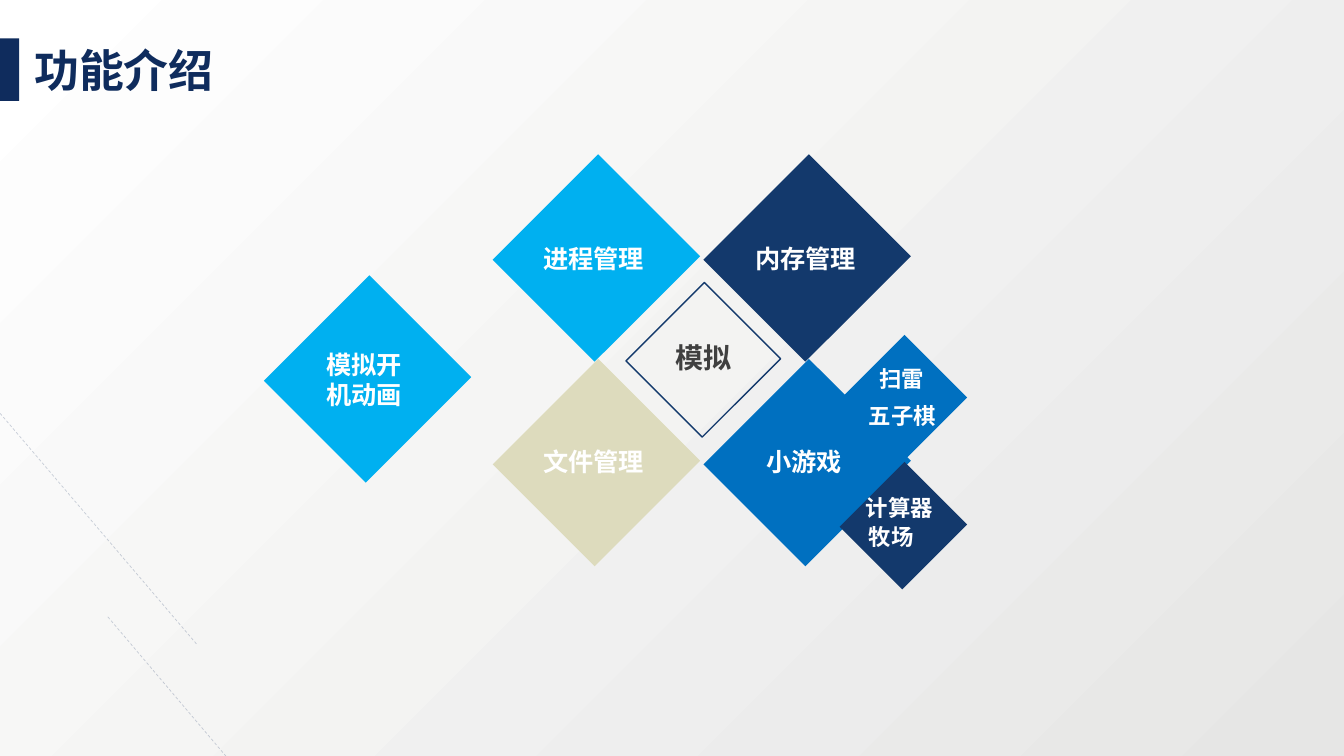
import pptx
import pptx.util
import pptx.dml.color
import pptx.enum.dml
import pptx.enum.shapes
import pptx.enum.text
import pptx.oxml
import pptx.oxml.ns

FONT = "Noto Sans CJK SC"
NAVY, DEEP, BLUE, SKY, SAND = "0F2C5D", "13396C", "0070C0", "00B0F0", "DDDBBD"
WHITE, GREY = "FFFFFF", "404040"

TITLE = "功能介绍"
TITLE_PLACE = (0, 0.37, 2.46, 0.64)
LARGE, MIDDLE, SMALL = (1.43, 1.48), (1.07, 1.1), (0.88, 0.91)
GRID_LEFT, GRID_TOP, COLUMN, ROW = 5.2, 1.82, 2.09, 2.03
SMALL_LEFT, SMALL_TOP, SMALL_ROW = 8.52, 3.5, 1.26

GRID_DIAMONDS = [(0, 0, SKY), (1, 0, DEEP), (0, 1, SAND), (1, 1, BLUE)]
SMALL_DIAMONDS = [(1, DEEP), (0, BLUE)]
DASHED_LINES = [((1.07, 6.12), (2.24, 7.5)), ((0, 4.1), (1.95, 6.39))]

LABELS = [
    ("模拟", (6.6, 3.32, 0.77, 0.44), 20, GREY),
    ("进程管理", (5.29, 2.36, 1.26, 0.4), 18, WHITE),
    ("内存管理", (7.39, 2.36, 1.23, 0.4), 18, WHITE),
    ("文件管理", (5.29, 4.38, 1.37, 0.4), 18, WHITE),
    ("小游戏", (7.5, 4.38, 1.02, 0.4), 18, WHITE),
    ("模拟开机动画", (3.14, 3.41, 1.02, 0.71), 18, WHITE),
    ("扫雷", (8.62, 3.57, 0.75, 0.37), 16, WHITE),
    ("五子棋", (8.52, 3.94, 1.02, 0.37), 16, WHITE),
    ("计算器", (8.49, 4.85, 1.02, 0.37), 16, WHITE),
    ("牧场", (8.52, 5.14, 1.02, 0.37), 16, WHITE),
]


def inches(values):
    return [pptx.util.Inches(value) for value in values]


def color(text):
    return pptx.dml.color.RGBColor.from_string(text)


def write(box, text, size, ink, align=pptx.enum.text.PP_ALIGN.LEFT, spacing=None):
    frame = box.text_frame
    frame.word_wrap = True
    frame.auto_size = pptx.enum.text.MSO_AUTO_SIZE.NONE
    frame.vertical_anchor = pptx.enum.text.MSO_ANCHOR.MIDDLE
    frame.margin_left = frame.margin_right = pptx.util.Inches(0.1)
    frame.margin_top = frame.margin_bottom = pptx.util.Inches(0.05)
    para = frame.paragraphs[0]
    para.alignment = align
    para.line_spacing = spacing
    span = para.add_run()
    span.text = text
    span.font.name = FONT
    span.font.size = pptx.util.Pt(size)
    span.font.bold = True
    span.font.color.rgb = color(ink)
    properties = span.font._element
    east_asian = pptx.oxml.parse_xml(
        f'<a:ea {pptx.oxml.ns.nsdecls("a")} typeface="{FONT}"/>')
    properties.find(pptx.oxml.ns.qn("a:latin")).addnext(east_asian)


def add_rectangle(page, place, fill=None, line=None, turn=0):
    shape = page.shapes.add_shape(
        pptx.enum.shapes.MSO_SHAPE.RECTANGLE, *inches(place))
    shape.shadow.inherit = False
    shape.rotation = turn
    if fill:
        shape.fill.solid()
        shape.fill.fore_color.rgb = color(fill)
    else:
        shape.fill.background()
    if line:
        shape.line.color.rgb = color(line)
        shape.line.width = pptx.util.Pt(1)
    else:
        shape.line.fill.background()


def add_dashed_line(page, start, end):
    line = page.shapes.add_connector(
        pptx.enum.shapes.MSO_CONNECTOR.STRAIGHT, *inches(start + end))
    line.line.color.rgb = color(NAVY)
    line.line.width = pptx.util.Pt(0.5)
    line.line.dash_style = pptx.enum.dml.MSO_LINE.DASH
    properties = line._element.spPr
    ink = next(properties.iter(pptx.oxml.ns.qn("a:srgbClr")))
    names = pptx.oxml.ns.nsdecls("a")
    ink.append(pptx.oxml.parse_xml(f'<a:alpha {names} val="21000"/>'))
    properties.append(pptx.oxml.parse_xml(f"<a:effectLst {names}/>"))


def main():
    deck = pptx.Presentation()
    deck.slide_width, deck.slide_height = inches((13.33, 7.5))
    page = deck.slides.add_slide(deck.slide_layouts[5])

    backdrop = page.background.fill
    backdrop.gradient()
    backdrop.gradient_angle = 135
    for stop, shade in zip(backdrop.gradient_stops, ("E6E6E5", WHITE)):
        stop.color.rgb = color(shade)

    title = page.shapes.title
    title.left, title.top, title.width, title.height = inches(TITLE_PLACE)
    write(title, TITLE, 32, NAVY, align=pptx.enum.text.PP_ALIGN.CENTER)
    add_rectangle(page, (0, 0.38, 0.19, 0.62), fill=NAVY)
    for start, end in DASHED_LINES:
        add_dashed_line(page, start, end)

    for column, row, fill in GRID_DIAMONDS:
        corner = (GRID_LEFT + column * COLUMN, GRID_TOP + row * ROW)
        add_rectangle(page, corner + LARGE, fill=fill, turn=45)
    for row, fill in SMALL_DIAMONDS:
        corner = (SMALL_LEFT, SMALL_TOP + row * SMALL_ROW)
        add_rectangle(page, corner + SMALL, fill=fill, turn=45)
    add_rectangle(page, (6.44, 3.02) + MIDDLE, line=DEEP, turn=45)
    add_rectangle(page, (2.93, 3.02) + LARGE, fill=SKY, turn=45)

    for text, place, size, ink in LABELS:
        box = page.shapes.add_textbox(*inches(place))
        write(box, text, size, ink)

    deck.save("out.pptx")


if __name__ == "__main__":
    main()
